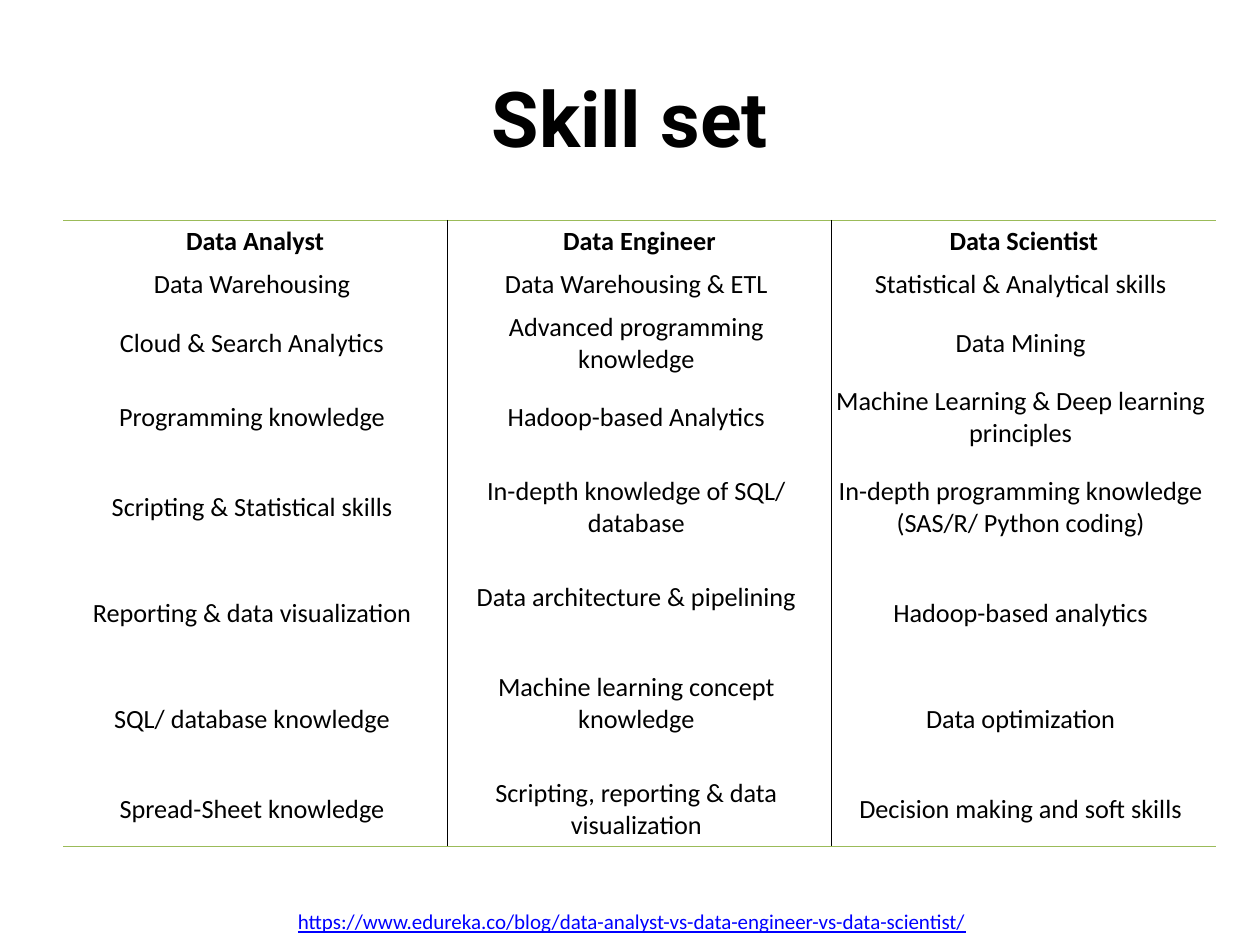
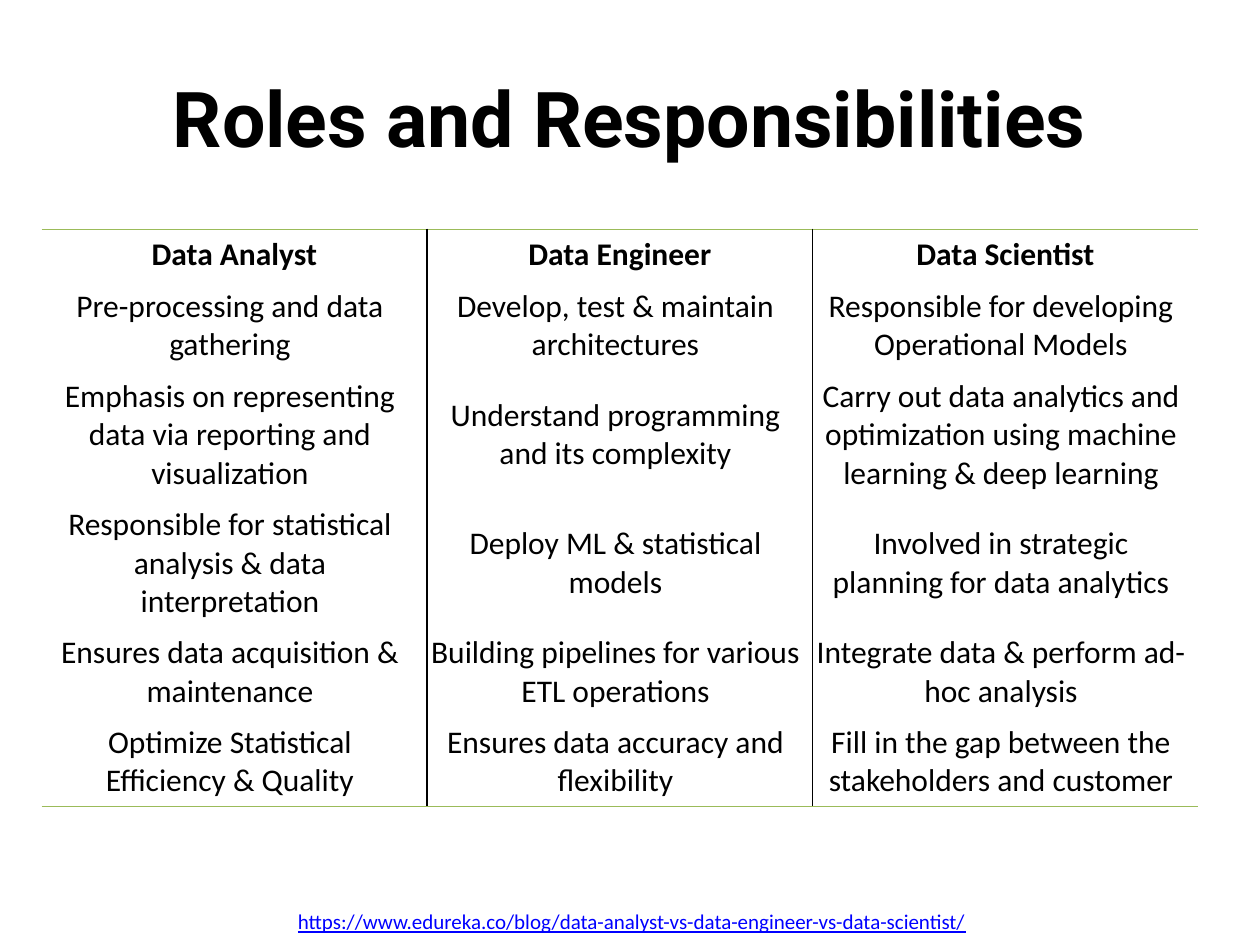
"""Build two slides that compare data analysts, data engineers and data scientists."""
from lxml import etree
from pptx import Presentation
from pptx.dml.color import RGBColor as Color
from pptx.enum.text import MSO_ANCHOR as Anchor, PP_ALIGN as Align
from pptx.oxml.ns import qn
from pptx.util import Pt

PX = 9144
TITLE_ONLY = 5
BORDER_WIDTH = Pt(1)
THEME = {
    "divider": "000000",
    "rule": "9BBB59",
    "title": {"name": "Roboto", "size": Pt(44), "bold": True, "color": "000000"},
    "source": {"name": "Calibri", "size": Pt(12), "underline": True, "color": "0000FF"},
    "cell": {"name": "Calibri", "color": "000000"},
}
SOURCE = "https://www.edureka.co/blog/data-analyst-vs-data-engineer-vs-data-scientist/"
HEADINGS = ("Data Analyst", "Data Engineer", "Data Scientist")
SLIDES = [
    {
        "title": "Skill set",
        "left": 50,
        "top": 175,
        "column_width": 305,
        "row_heights": (34, 34, 59, 59, 84, 84, 84, 59),
        "size": Pt(15),
        "side_inset": 8,
        "vertical_inset": 4,
        "raised": {(5, 1), (6, 1)},
        "rows": [
            HEADINGS,
            ("Data Warehousing", "Data Warehousing & ETL", "Statistical & Analytical skills"),
            ("Cloud & Search Analytics", "Advanced programming knowledge", "Data Mining"),
            ("Programming knowledge", "Hadoop-based Analytics",
             "Machine Learning & Deep learning principles"),
            ("Scripting & Statistical skills", "In-depth knowledge of SQL/ database",
             "In-depth programming knowledge (SAS/R/ Python coding)"),
            ("Reporting & data visualization", "Data architecture & pipelining",
             "Hadoop-based analytics"),
            ("SQL/ database knowledge", "Machine learning concept knowledge",
             "Data optimization"),
            ("Spread-Sheet knowledge", "Scripting, reporting & data visualization",
             "Decision making and soft skills"),
        ],
    },
    {
        "title": "Roles and Responsibilities",
        "left": 33,
        "top": 182,
        "column_width": 306,
        "row_heights": (41, 71, 102, 102, 71, 71),
        "size": Pt(18),
        "side_inset": 10,
        "vertical_inset": 5,
        "raised": set(),
        "rows": [
            HEADINGS,
            ("Pre-processing and data gathering", "Develop, test & maintain architectures",
             "Responsible for developing Operational Models"),
            ("Emphasis on representing data via reporting and visualization",
             "Understand programming and its complexity",
             "Carry out data analytics and optimization using machine learning & deep learning"),
            ("Responsible for statistical analysis & data interpretation",
             "Deploy ML & statistical models",
             "Involved in strategic planning for data analytics"),
            ("Ensures data acquisition & maintenance",
             "Building pipelines for various ETL operations",
             "Integrate data & perform ad-hoc analysis"),
            ("Optimize Statistical Efficiency & Quality",
             "Ensures data accuracy and flexibility",
             "Fill in the gap between the stakeholders and customer"),
        ],
    },
]
BODY_LEFT_INSET = 3
RAISED_INSET = 29


def write_text(text_frame, text, text_format):
    text_frame.word_wrap = True
    paragraph = text_frame.paragraphs[0]
    paragraph.alignment = Align.CENTER
    run = paragraph.add_run()
    run.text = text
    for name, value in text_format.items():
        if name == "color":
            run.font.color.rgb = Color.from_string(value)
        else:
            setattr(run.font, name, value)


def draw_borders(cell, colors):
    properties = cell._tc.get_or_add_tcPr()
    for index, (tag, color) in enumerate(colors.items()):
        line = etree.Element(qn(f"a:{tag}"), w=str(BORDER_WIDTH))
        properties.insert(index, line)
        if color:
            fill = etree.SubElement(line, qn("a:solidFill"))
            etree.SubElement(fill, qn("a:srgbClr"), val=color)
        else:
            etree.SubElement(line, qn("a:noFill"))


presentation = Presentation()
presentation.slide_width = 1000 * PX
presentation.slide_height = 750 * PX

for content in SLIDES:
    slide = presentation.slides.add_slide(presentation.slide_layouts[TITLE_ONLY])
    title = slide.shapes.title
    for name, value in {"left": 50, "top": 30, "width": 900, "height": 125}.items():
        setattr(title, name, value * PX)
    title.text_frame.vertical_anchor = Anchor.MIDDLE
    write_text(title.text_frame, content["title"], THEME["title"])

    rows = content["rows"]
    heights = content["row_heights"]
    last_row, last_column = len(rows) - 1, len(HEADINGS) - 1
    table = slide.shapes.add_table(
        len(rows), len(HEADINGS), content["left"] * PX, content["top"] * PX,
        content["column_width"] * len(HEADINGS) * PX, sum(heights) * PX,
    ).table
    table.first_row = False
    table.horz_banding = False
    for column in table.columns:
        column.width = content["column_width"] * PX

    for row_index, (texts, height) in enumerate(zip(rows, heights)):
        table.rows[row_index].height = height * PX
        is_heading = row_index == 0
        for column_index, text in enumerate(texts):
            cell = table.cell(row_index, column_index)
            is_raised = (row_index, column_index) in content["raised"]
            insets = {
                "margin_left": content["side_inset"] if is_heading else BODY_LEFT_INSET,
                "margin_right": content["side_inset"],
                "margin_top": content["vertical_inset"],
                "margin_bottom": RAISED_INSET if is_raised else content["vertical_inset"],
            }
            for name, value in insets.items():
                setattr(cell, name, value * PX)
            cell.vertical_anchor = Anchor.MIDDLE
            cell.fill.background()
            draw_borders(cell, {
                "lnL": THEME["divider"] if column_index > 0 else None,
                "lnR": THEME["divider"] if column_index < last_column else None,
                "lnT": THEME["rule"] if is_heading else None,
                "lnB": THEME["rule"] if row_index == last_row else None,
            })
            cell_format = THEME["cell"] | {"size": content["size"], "bold": is_heading}
            write_text(cell.text_frame, text, cell_format)

    source = slide.shapes.add_textbox(173 * PX, 711 * PX, 657 * PX, 40 * PX)
    source.text_frame.vertical_anchor = Anchor.MIDDLE
    write_text(source.text_frame, SOURCE, THEME["source"])

presentation.save("out.pptx")
